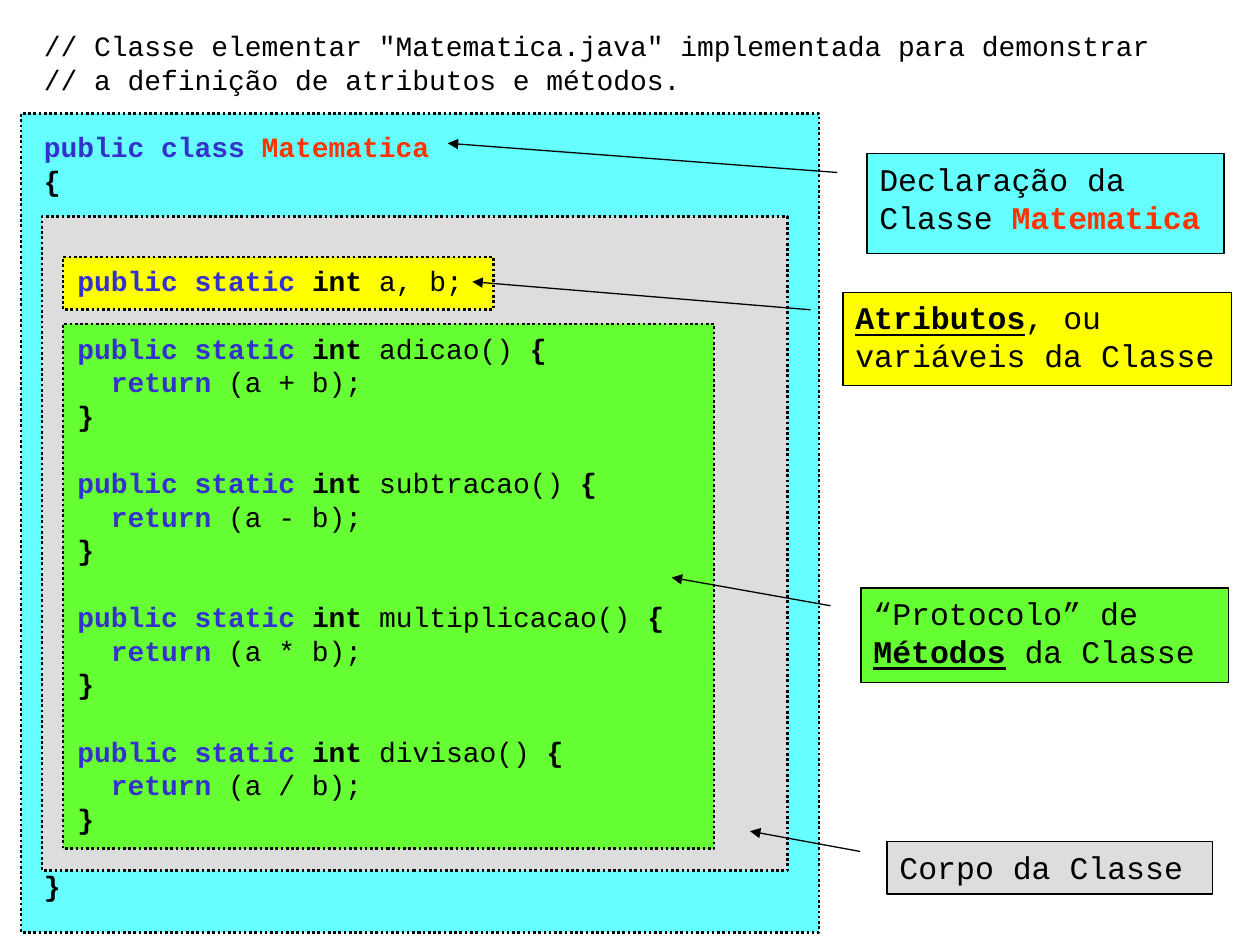
from dataclasses import dataclass
from typing import NamedTuple

from lxml.etree import SubElement
from pptx import Presentation
from pptx.dml.color import RGBColor as Color
from pptx.enum.dml import MSO_LINE as Dash
from pptx.enum.shapes import MSO_SHAPE as Shape
from pptx.enum.text import MSO_ANCHOR as Anchor, PP_ALIGN as Align
from pptx.oxml.ns import qn
from pptx.util import Inches, Pt


@dataclass(frozen=True)
class Theme:
    font: str = "Courier New"
    code_size: float = 16
    label_size: float = 18
    code_line: float = 19.2
    ink: str = "000000"
    keyword: str = "3333CC"
    name: str = "FF3300"
    whole: str = "66FFFF"
    body: str = "DDDDDD"
    methods: str = "66FF33"
    attributes: str = "FFFF00"


class Box(NamedTuple):
    column: float
    row: float
    columns: float
    rows: float

    def inner(self, column, row, columns, rows):
        return Box(self.column + column, self.row + row, columns, rows)

    def lengths(self):
        return [Inches(cells / CELLS_PER_INCH) for cells in self]


THEME = Theme()
CELLS_PER_INCH = 6
PLAIN = {}
BOLD = {"bold": True}
KEYWORD = {"bold": True, "color": THEME.keyword}
NAME = {"bold": True, "color": THEME.name}
TERM = {"bold": True, "underline": True}


def add_span(para, text, size, color=THEME.ink, bold=False, underline=False):
    span = para.add_run()
    span.text = text
    font = span.font
    font.name, font.size = THEME.font, Pt(size)
    font.bold, font.underline = bold, underline
    font.color.rgb = Color.from_string(color)


def add_line(para, spans, size, space_before=0):
    para.alignment = Align.LEFT
    if space_before:
        para.space_before = Pt(space_before)
    for text, style in spans:
        add_span(para, text, size, **style)


def add_block(page, box, fill, kind=Shape.RECTANGLE, width=1.5, dash=None):
    block = page.shapes.add_shape(kind, *box.lengths())
    block.shadow.inherit = False
    block.fill.solid()
    block.fill.fore_color.rgb = Color.from_string(fill)
    block.line.color.rgb = Color.from_string(THEME.ink)
    block.line.width = Pt(width)
    if dash:
        block.line.dash_style = dash
    return block


def class_regions(page, box):
    regions = [
        (box, THEME.whole),
        (box.inner(1, 4.92, 35.5, 31.14), THEME.body),
        (box.inner(2, 10.02, 31, 25), THEME.methods),
        (box.inner(2, 6.84, 20.5, 2.5), THEME.attributes),
    ]
    for region, fill in regions:
        add_block(page, region, fill, dash=Dash.ROUND_DOT)


def callout(page, box, fill, spans, target):
    label = add_block(page, box, fill, kind=Shape.LINE_CALLOUT_1, width=0.75)
    for index, share in enumerate((0.188, -0.083, *target)):
        label.adjustments[index] = share
    SubElement(label.line._get_or_add_ln(), qn("a:tailEnd"), type="triangle")
    frame = label.text_frame
    frame.word_wrap = True
    frame.vertical_anchor = Anchor.TOP
    add_line(frame.paragraphs[0], spans, THEME.label_size)


def member(rest, *ending):
    return [("  ", PLAIN), ("public static ", KEYWORD), ("int", BOLD),
            (rest, PLAIN), *ending]


def method_lines(name, sign):
    return [
        (1, member(f" {name}() ", ("{", BOLD))),
        (0, [("    ", PLAIN), ("return", KEYWORD), (f" (a {sign} b);", PLAIN)]),
        (0, [("  ", PLAIN), ("}", BOLD)]),
    ]


def code_lines():
    lines = [
        (0, [('// Classe elementar "Matematica.java" implementada para demonstrar', PLAIN)]),
        (0, [("// a definição de atributos e métodos.", PLAIN)]),
        (1, [("public class ", KEYWORD), ("Matematica", NAME)]),
        (0, [("{", BOLD)]),
        (2, member(" a, b;")),
    ]
    operations = {"adicao": "+", "subtracao": "-", "multiplicacao": "*", "divisao": "/"}
    for name, sign in operations.items():
        lines += method_lines(name, sign)
    return lines + [(1, [("}", BOLD)])]


def source_code(page, box):
    frame = page.shapes.add_textbox(*box.lengths()).text_frame
    frame.word_wrap = True
    for index, (gap, spans) in enumerate(code_lines()):
        para = frame.add_paragraph() if index else frame.paragraphs[0]
        add_line(para, spans, THEME.code_size, space_before=gap * THEME.code_line)


def main():
    deck = Presentation()
    deck.slide_width, deck.slide_height = Inches(10), Inches(7.5)
    page = deck.slides.add_slide(deck.slide_layouts[6])
    class_regions(page, Box(1, 5.4, 38, 39))
    callout(page, Box(41.28, 7.32, 17, 4.75), THEME.whole,
            [("Declaração da Classe ", PLAIN), ("Matematica", NAME)], (-0.105, -1.174))
    callout(page, Box(42.24, 40.08, 15.5, 2.5), THEME.body,
            [("Corpo da Classe", PLAIN)], (-0.2, -0.421))
    callout(page, Box(41, 28, 17.5, 4.5), THEME.methods,
            [("“Protocolo” de ", PLAIN), ("Métodos", TERM), (" da Classe", PLAIN)],
            (-0.111, -0.515))
    callout(page, Box(40.14, 13.92, 18.5, 4.44), THEME.attributes,
            [("Atributos", TERM), (", ou variáveis da Classe", PLAIN)], (-0.113, -0.954))
    source_code(page, Box(1.5, 1.08, 57.18, 42.18))
    deck.save("out.pptx")


if __name__ == "__main__":
    main()
